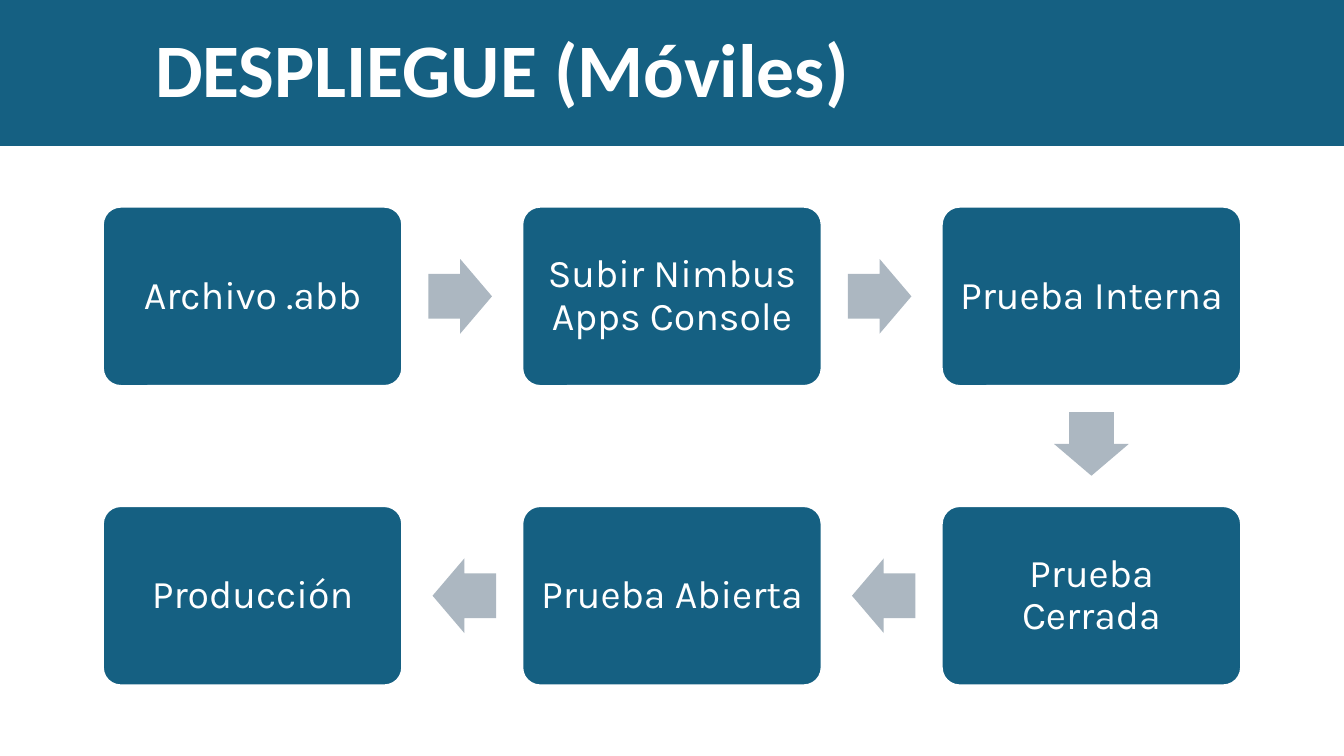
from dataclasses import dataclass
from itertools import pairwise

from pptx import Presentation
from pptx.dml.color import RGBColor
from pptx.enum.shapes import MSO_SHAPE
from pptx.enum.text import MSO_ANCHOR, PP_ALIGN
from pptx.util import Inches, Pt

RECT = MSO_SHAPE.RECTANGLE
ROUNDED = MSO_SHAPE.ROUNDED_RECTANGLE
ARROW = MSO_SHAPE.RIGHT_ARROW
MIDDLE = MSO_ANCHOR.MIDDLE
LEFT, CENTER = PP_ALIGN.LEFT, PP_ALIGN.CENTER

SLIDE_W, SLIDE_H = 13.33, 7.5
BANNER_H = 1.44
TITLE_LEFT = 1.44
BOX_W, BOX_H = 2.97, 1.78
GRID_LEFT, GRID_TOP = 1.02, 2.05
PITCH_X, PITCH_Y = 4.16, 2.97
ARROW_W, ARROW_H = 0.63, 0.74
ARROW_SHIFT = 0.02

# Text, column and row of each step, in flow order
STEPS = [
    ("Archivo .abb", 0, 0),
    ("Subir Nimbus Apps Console", 1, 0),
    ("Prueba Interna", 2, 0),
    ("Prueba Cerrada", 2, 1),
    ("Prueba Abierta", 1, 1),
    ("Producción", 0, 1),
]
ROTATION = {(1, 0): 0, (0, 1): 90, (-1, 0): 180}


@dataclass(frozen=True)
class Theme:
    blue: RGBColor = RGBColor(0x15, 0x60, 0x82)
    gray: RGBColor = RGBColor(0xAC, 0xB7, 0xC1)
    white: RGBColor = RGBColor(0xFF, 0xFF, 0xFF)
    title_font: str = "Calibri"
    step_font: str = "Karla"
    title_size: int = 54
    step_size: int = 28
    line_width: float = 1.5


def write_text(s, text, *, font, size, color, bold=False, align=LEFT, inset=None):
    tf = s.text_frame
    tf.word_wrap = True
    tf.vertical_anchor = MIDDLE
    if inset is not None:
        tf.margin_left = tf.margin_right = Inches(inset)
        tf.margin_top = tf.margin_bottom = Inches(inset)
    p = tf.paragraphs[0]
    p.alignment = align
    p.line_spacing = 0.9
    r = p.add_run()
    r.text = text
    r.font.name = font
    r.font.size = Pt(size)
    r.font.bold = bold
    r.font.color.rgb = color


def step_center(col, row):
    return (GRID_LEFT + col * PITCH_X + BOX_W / 2,
            GRID_TOP + row * PITCH_Y + BOX_H / 2)


class FlowSlide:
    def __init__(self, slide, theme):
        self.slide = slide
        self.theme = theme

    def shape(self, kind, x, y, w, h, fill, line=None):
        s = self.slide.shapes.add_shape(
            kind, Inches(x), Inches(y), Inches(w), Inches(h))
        s.shadow.inherit = False
        s.fill.solid()
        s.fill.fore_color.rgb = fill
        if line is None:
            s.line.fill.background()
        else:
            s.line.color.rgb = line
            s.line.width = Pt(self.theme.line_width)
        return s

    def banner(self, text):
        t = self.theme
        self.shape(RECT, 0, 0, SLIDE_W, BANNER_H, t.blue, t.blue)
        s = self.slide.shapes.add_textbox(
            Inches(TITLE_LEFT), 0, Inches(SLIDE_W - TITLE_LEFT), Inches(BANNER_H))
        write_text(s, text, font=t.title_font, size=t.title_size,
                   color=t.white, bold=True)

    def step(self, text, col, row):
        t = self.theme
        cx, cy = step_center(col, row)
        s = self.shape(ROUNDED, cx - BOX_W / 2, cy - BOX_H / 2,
                       BOX_W, BOX_H, t.blue, t.white)
        s.adjustments[0] = 0.1
        write_text(s, text, font=t.step_font, size=t.step_size,
                   color=t.white, align=CENTER, inset=0.12)

    def arrow(self, start, end):
        """Point from one grid cell to the next, set slightly nearer the first."""
        dx, dy = end[0] - start[0], end[1] - start[1]
        (x1, y1), (x2, y2) = step_center(*start), step_center(*end)
        cx = (x1 + x2) / 2 - dx * ARROW_SHIFT
        cy = (y1 + y2) / 2 - dy * ARROW_SHIFT
        s = self.shape(ARROW, cx - ARROW_W / 2, cy - ARROW_H / 2,
                       ARROW_W, ARROW_H, self.theme.gray)
        s.adjustments[0] = 0.6
        s.adjustments[1] = 0.5
        s.rotation = ROTATION[dx, dy]


def main():
    prs = Presentation()
    prs.slide_width = Inches(SLIDE_W)
    prs.slide_height = Inches(SLIDE_H)
    flow = FlowSlide(prs.slides.add_slide(prs.slide_layouts[6]), Theme())
    flow.banner("DESPLIEGUE (Móviles)")
    for text, col, row in STEPS:
        flow.step(text, col, row)
    for (_, *start), (_, *end) in pairwise(STEPS):
        flow.arrow(start, end)
    prs.save("out.pptx")


if __name__ == "__main__":
    main()
